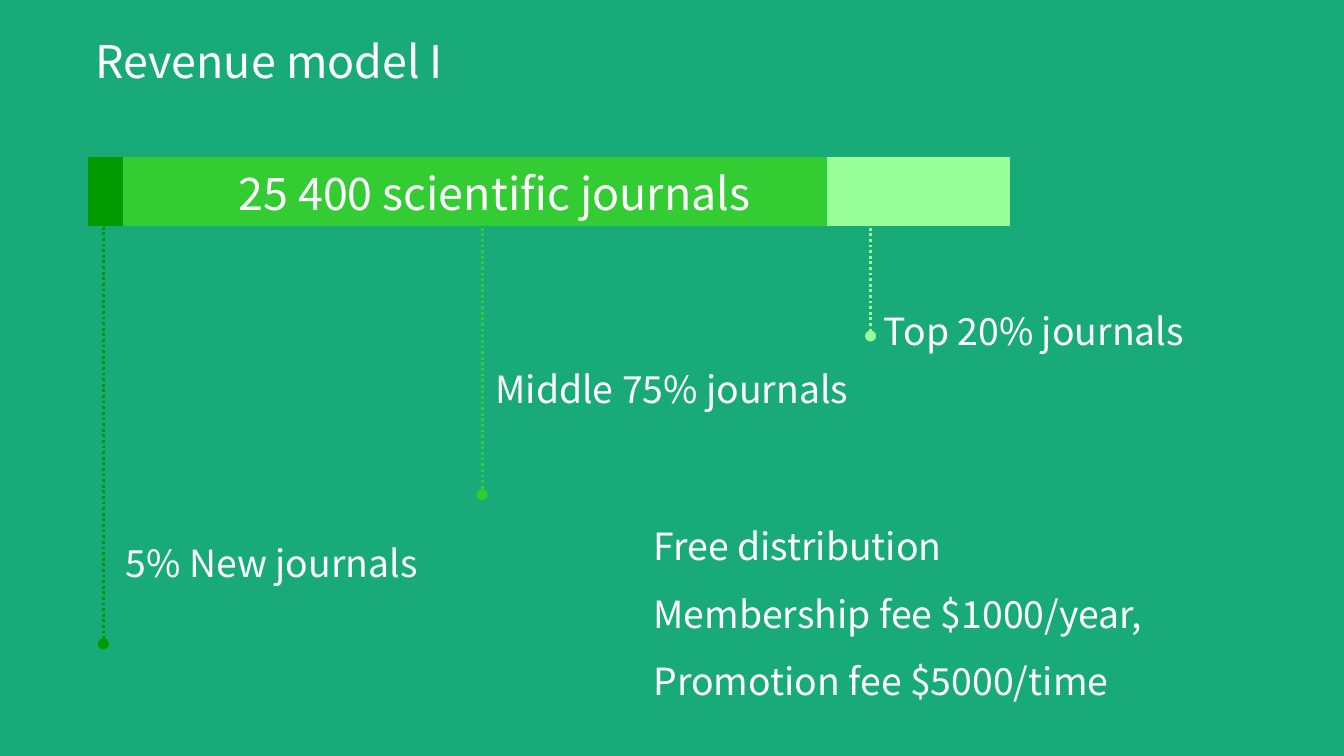
from lxml import etree
from pptx import Presentation
from pptx.chart.data import CategoryChartData
from pptx.dml.color import RGBColor
from pptx.enum.chart import XL_CHART_TYPE
from pptx.enum.dml import MSO_LINE
from pptx.enum.shapes import MSO_CONNECTOR
from pptx.enum.text import MSO_AUTO_SIZE
from pptx.oxml.ns import qn
from pptx.util import Pt

STACKED_BAR = XL_CHART_TYPE.BAR_STACKED
DOTTED = MSO_LINE.ROUND_DOT
STRAIGHT = MSO_CONNECTOR.STRAIGHT
FIT_SHAPE = MSO_AUTO_SIZE.SHAPE_TO_FIT_TEXT

COLORS = {
    "background": "19AA79",
    "text": "FFFFFF",
    "chart_text": "000000",
    "new": "009900",
    "middle": "33CC33",
    "top": "99FF99",
    "spare": "FFAB40",
}


def rgb(name):
    return RGBColor.from_string(COLORS[name])


class SlideBuilder:
    font_name = "Noto Sans CJK SC"
    chart_font = "Arial"
    line_width = 1.5

    def __init__(self, presentation):
        self.slide = presentation.slides.add_slide(presentation.slide_layouts[6])
        fill = self.slide.background.fill
        fill.solid()
        fill.fore_color.rgb = rgb("background")

    def text(self, left, top, width, height, lines, size=20, spacing=None):
        shape = self.slide.shapes.add_textbox(Pt(left), Pt(top), Pt(width), Pt(height))
        frame = shape.text_frame
        frame.word_wrap = True
        frame.auto_size = FIT_SHAPE
        frame.text = "\n".join(lines)
        font_values = {"name": self.font_name, "size": Pt(size)}
        for paragraph in frame.paragraphs:
            paragraph.line_spacing = spacing
            font = paragraph.runs[0].font
            for attribute, value in font_values.items():
                setattr(font, attribute, value)
            font.color.rgb = rgb("text")

    def marker_line(self, x, top, bottom, color):
        """Draw a dotted vertical line that ends in a dot."""
        connector = self.slide.shapes.add_connector(
            STRAIGHT, Pt(x), Pt(top), Pt(x), Pt(bottom))
        connector.line.color.rgb = rgb(color)
        connector.line.width = Pt(self.line_width)
        connector.line.dash_style = DOTTED
        properties = connector._element.spPr
        etree.SubElement(properties.find(qn("a:ln")), qn("a:tailEnd"), type="oval")
        etree.SubElement(properties, qn("a:effectLst"))

    def stacked_bar(self, left, top, width, height, categories, series, maximum, plot_area):
        data = CategoryChartData()
        data.categories = categories
        for name, values, _ in series:
            data.add_series(name, values)
        chart = self.slide.shapes.add_chart(
            STACKED_BAR, Pt(left), Pt(top), Pt(width), Pt(height), data).chart
        chart.has_legend = chart.has_title = False
        font_values = {"name": self.chart_font, "size": Pt(10)}
        for attribute, value in font_values.items():
            setattr(chart.font, attribute, value)
        chart.font.color.rgb = rgb("chart_text")

        # Bars
        plot = chart.plots[0]
        plot.gap_width, plot.overlap = 150, 100
        for bar, (_, _, color) in zip(plot.series, series):
            bar.format.fill.solid()
            bar.format.fill.fore_color.rgb = rgb(color)

        # Axes
        chart.value_axis.minimum_scale = 0
        chart.value_axis.maximum_scale = maximum
        chart.value_axis.has_major_gridlines = False
        for axis in (chart.category_axis, chart.value_axis):
            axis.visible = False

        # Inner plot area as fractions of the chart
        area = chart._chartSpace.chart.plotArea
        for old_layout in area.findall(qn("c:layout")):
            area.remove(old_layout)
        layout = etree.Element(qn("c:layout"))
        area.insert(0, layout)
        manual = etree.SubElement(layout, qn("c:manualLayout"))
        settings = {"layoutTarget": "inner", "xMode": "edge", "yMode": "edge"}
        settings.update(zip("xywh", plot_area))
        for tag, value in settings.items():
            etree.SubElement(manual, qn(f"c:{tag}"), val=str(value))


def main():
    presentation = Presentation()
    presentation.slide_width, presentation.slide_height = Pt(720), Pt(405)
    builder = SlideBuilder(presentation)

    # Journal shares: the first of four category rows holds the bar
    empty = [None] * 3
    series = [
        ("Series 1", [5] + empty, "new"),
        ("Series 2", [100] + empty, "middle"),
        ("Series 3", [26] + empty, "top"),
        ("Series 4", [None] + empty, "spare"),
    ]
    builder.stacked_bar(47, -252.7, 592, 401.8, ["1", "", "", ""], series,
                        maximum=157, plot_area=(0, 0.08, 1, 0.92))

    # Dotted lines from the bar
    for x, top, bottom, color in [
        (466.4, 119, 180, "top"),
        (258.3, 119, 265, "middle"),
        (55.4, 106.5, 345, "new"),
    ]:
        builder.marker_line(x, top, bottom, color)

    # Labels of the shares
    builder.text(466.4, 161.3, 355, 31.5, ["Top 20% journals"])
    builder.text(258.3, 192.5, 372, 55.5, ["Middle 75% journals"])
    builder.text(60.2, 285.8, 622, 55.5, ["5% New journals"])

    # Fees
    builder.text(343, 265, 318, 116.5, [
        "Free distribution",
        "Membership fee $1000/year,",
        "Promotion fee $5000/time",
    ], spacing=1.5)

    # Bar caption and title
    builder.text(120.7, 85, 335.5, 36, ["25 400 scientific journals"], size=24)
    builder.text(44.2, 14.7, 335.5, 36, ["Revenue model I"], size=24)

    presentation.save("out.pptx")


if __name__ == "__main__":
    main()
